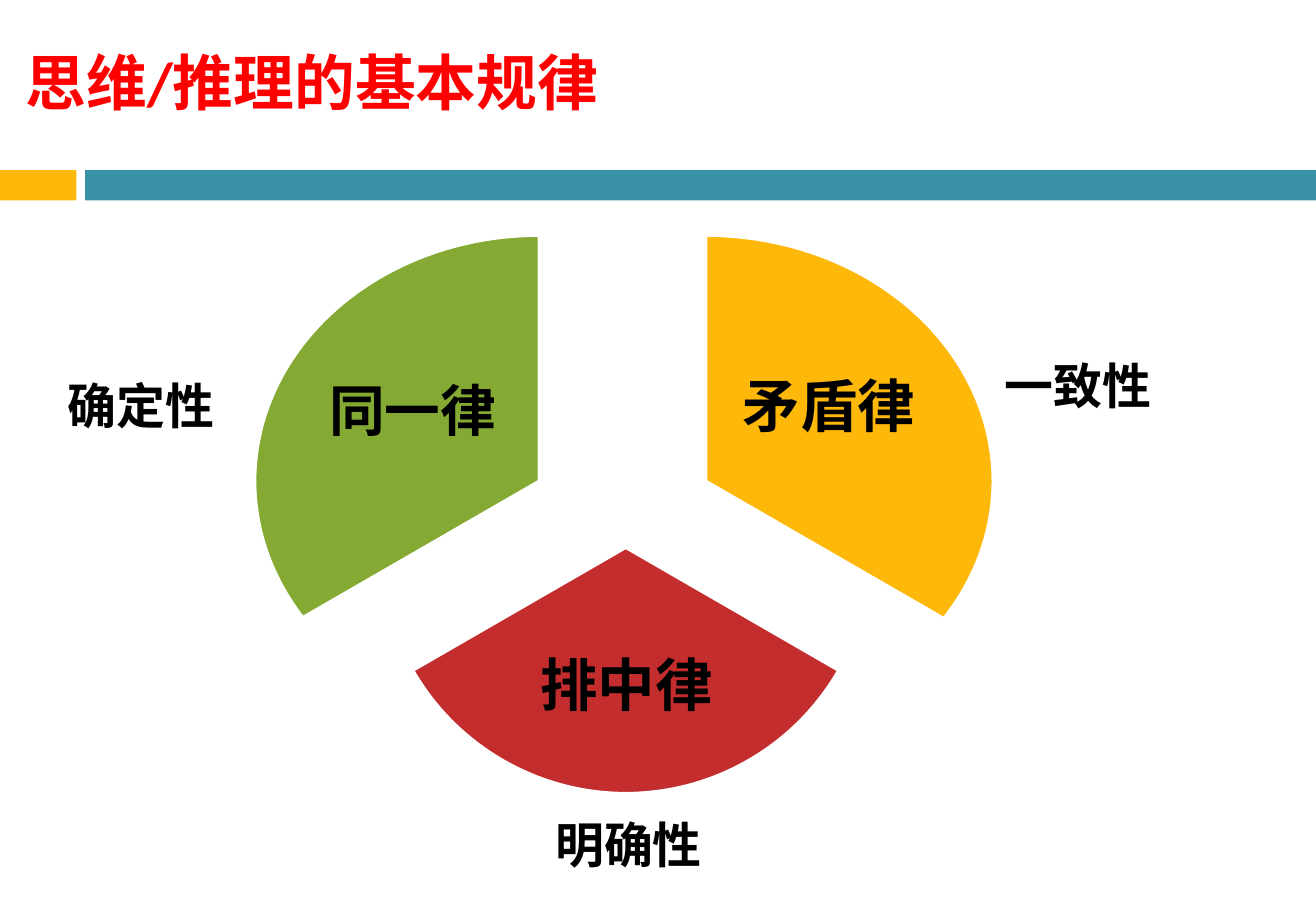
from pptx import Presentation
from pptx.dml.color import RGBColor
from pptx.enum.shapes import MSO_SHAPE
from pptx.enum.text import MSO_ANCHOR, PP_ALIGN
from pptx.util import Inches, Pt

RECTANGLE, PIE = MSO_SHAPE.RECTANGLE, MSO_SHAPE.PIE
TOP, MIDDLE = MSO_ANCHOR.TOP, MSO_ANCHOR.MIDDLE
LEFT, CENTER = PP_ALIGN.LEFT, PP_ALIGN.CENTER
FONT = "Calibri"
COLORS = {
    "yellow": "FEB80A",
    "teal": "3891A7",
    "red": "C32D2E",
    "green": "84AA33",
    "title": "FF0000",
    "text": "000000",
    "white": "FFFFFF",
}

# Band place, colour
BANDS = [
    ((0, 1.4, 0.63, 0.25), "yellow"),
    ((0.7, 1.4, 10.13, 0.25), "teal"),
]
# Law, text place, text size, sector place, start and end in degrees, colour
LAWS = [
    ("矛盾律", (6.02, 2.69, 1.6, 1.35), 34, (3.45, 1.94, 4.72, 4.04), (270, 30), "yellow"),
    ("排中律", (4.24, 5.04, 1.83, 1.25), 34, (3.13, 2.49, 4.04, 4.04), (30, 150), "red"),
    ("同一律", (2.6, 2.73, 1.59, 1.35), 33, (2.1, 1.94, 4.67, 4.04), (150, 270), "green"),
]
# Property, left, top
PROPERTIES = [
    ("确定性", 0.46, 3.04),
    ("明确性", 4.47, 6.66),
    ("一致性", 8.17, 2.88),
]


def rgb(name):
    return RGBColor.from_string(COLORS[name])


def add_filled_shape(page, kind, place, color):
    shape = page.shapes.add_shape(kind, *map(Inches, place))
    shape.shadow.inherit = False
    shape.fill.solid()
    shape.fill.fore_color.rgb = rgb(color)
    shape.line.fill.background()
    return shape


def add_sector(page, place, angles, color):
    """Draw a pie sector that runs clockwise between two angles in degrees."""
    sector = add_filled_shape(page, PIE, place, color)
    for index, angle in enumerate(angles):
        sector.adjustments[index] = angle * 0.6
    sector.line.color.rgb = rgb("white")
    sector.line.width = Pt(1.5)


def add_text(page, text, place, size, color="text", anchor=TOP, align=LEFT):
    box = page.shapes.add_textbox(*map(Inches, place))
    frame = box.text_frame
    frame.word_wrap = True
    frame.vertical_anchor = anchor
    para = frame.paragraphs[0]
    para.alignment = align
    span = para.add_run()
    span.text = text
    span.font.color.rgb = rgb(color)
    for name, value in {"name": FONT, "size": Pt(size), "bold": True}.items():
        setattr(span.font, name, value)
    return frame


def add_law_name(page, text, place, size):
    frame = add_text(page, text, place, size, anchor=MIDDLE, align=CENTER)
    for side in ("left", "top", "right", "bottom"):
        setattr(frame, f"margin_{side}", Inches(0.05))
    frame.paragraphs[0].line_spacing = 0.9


def main():
    deck = Presentation()
    deck.slide_width, deck.slide_height = Inches(10.83), Inches(7.5)
    page = deck.slides.add_slide(deck.slide_layouts[6])

    for place, color in BANDS:
        add_filled_shape(page, RECTANGLE, place, color)
    add_text(page, "思维/推理的基本规律", (0.11, 0.13, 10.01, 1.08), 36, "title", MIDDLE)

    for law, text_place, size, sector_place, angles, color in LAWS:
        add_sector(page, sector_place, angles, color)
        add_law_name(page, law, text_place, size)
    for text, left, top in PROPERTIES:
        add_text(page, text, (left, top, 1.63, 0.66), 29)

    deck.save("out.pptx")


if __name__ == "__main__":
    main()
